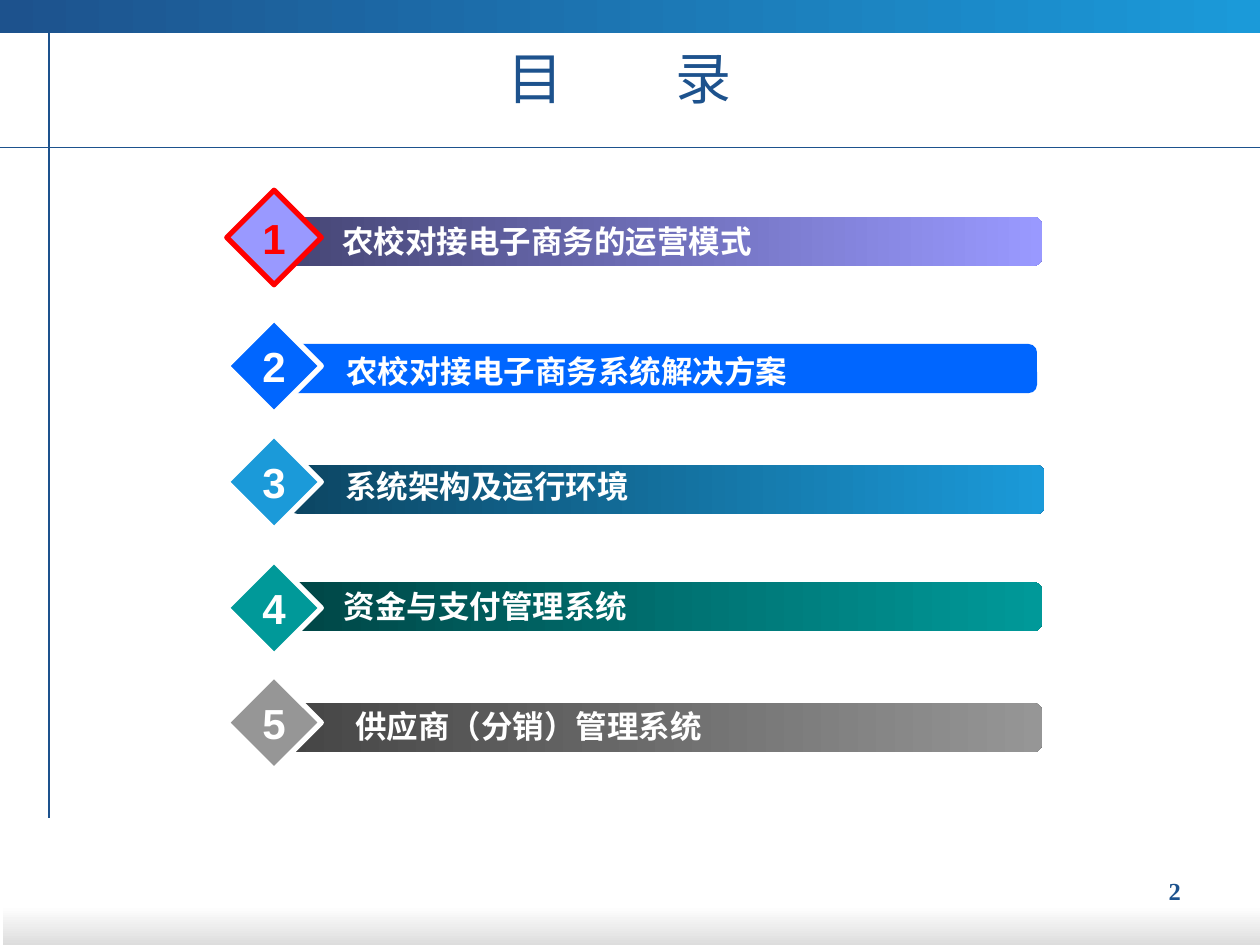
from lxml import etree
from pptx import Presentation
from pptx import util as u
from pptx.dml.color import RGBColor
from pptx.enum import shapes, text
from pptx.oxml.ns import qn

CELL = 0.1
COLUMNS, ROWS = 100, 75
NAVY, SKY, WHITE, RED = "1D528D", "1B9AD9", "FFFFFF", "FF0000"
DIAMOND_LEFT, DIAMOND_SIZE = 18, 7.5
BAR_WIDTH, BAR_HEIGHT = 59.9, 3.9
LABEL_WIDTH, LABEL_HEIGHT = 64, 5.1

ITEMS = [
    {"title": "农校对接电子商务的运营模式", "colors": ("464675", "9999FF"), "accent": RED,
     "diamond": 15.1, "bar": (22.8, 17.2), "label": (26.2, 16.6)},
    {"title": "农校对接电子商务系统解决方案", "colors": ("0066FF",), "accent": WHITE,
     "diamond": 25.3, "bar": (22.4, 27.3), "label": (26.5, 26.9)},
    {"title": "系统架构及运行环境", "colors": ("0C4663", SKY), "accent": WHITE,
     "diamond": 34.5, "bar": (23, 36.9), "label": (26.4, 36)},
    {"title": "资金与支付管理系统", "colors": ("004646", "009999"), "accent": WHITE,
     "diamond": 44.5, "bar": (22.8, 46.2), "label": (26.3, 45.5)},
    {"title": "供应商（分销）管理系统", "colors": ("454545", "969696"), "accent": WHITE,
     "diamond": 53.6, "bar": (22.8, 55.8), "label": (27.2, 55.1)},
]


def grid(*cells):
    return [u.Inches(cell * CELL) for cell in cells]


def paint(color_format, value):
    color_format.rgb = RGBColor.from_string(value)


def fill_shape(shape, colors, angle=0):
    if len(colors) == 1:
        shape.fill.solid()
        paint(shape.fill.fore_color, colors[0])
        return
    shape.fill.gradient()
    shape.fill.gradient_angle = angle
    for stop, position, color in zip(shape.fill.gradient_stops, (0, 1), colors):
        stop.position = position
        paint(stop.color, color)


def add_block(slide, kind, box, colors, angle=0):
    shape = slide.shapes.add_shape(kind, *grid(*box))
    shape.shadow.inherit = False
    fill_shape(shape, colors, angle)
    shape.line.fill.background()
    return shape


def write(shape, words, color, align, anchor, wrap=True, **font):
    frame = shape.text_frame
    frame.word_wrap = wrap
    frame.vertical_anchor = anchor
    paragraph = frame.paragraphs[0]
    paragraph.text = words
    paragraph.alignment = align
    for name, value in font.items():
        setattr(paragraph.font, name, value)
    paint(paragraph.font.color, color)


def add_label(slide, box, words, color, align, anchor=text.MSO_ANCHOR.MIDDLE, **font):
    write(slide.shapes.add_textbox(*grid(*box)), words, color, align, anchor, **font)


def add_rule(slide, ends):
    line = slide.shapes.add_connector(shapes.MSO_CONNECTOR.STRAIGHT, *grid(*ends))
    line.line.width = u.Pt(0.75)
    paint(line.line.color, NAVY)
    etree.SubElement(line._element.spPr, qn("a:effectLst"))


def add_frame(slide):
    rectangle = shapes.MSO_SHAPE.RECTANGLE
    add_block(slide, rectangle, (0.2, 71.9, COLUMNS - 0.2, 3.1), (WHITE, "DDDDDD"), 270)
    add_block(slide, rectangle, (0, 0, COLUMNS, 2.6), (NAVY, SKY))
    add_rule(slide, (0, 11.7, COLUMNS, 11.7))
    add_rule(slide, (3.9, 2.4, 3.9, 64.9))
    add_label(slide, (4.3, 2.8, 89.8, 6.7), "目\u3000\u3000录".replace("\u3000", "　"), NAVY,
              text.PP_ALIGN.CENTER, size=u.Pt(32), name="DejaVu Sans")
    add_label(slide, (86.2, 69, 8.5, 3.4), "2", NAVY, text.PP_ALIGN.RIGHT,
              text.MSO_ANCHOR.TOP, size=u.Pt(14), name="Times New Roman", bold=True)


def add_item(slide, number, item):
    bar = add_block(slide, shapes.MSO_SHAPE.ROUNDED_RECTANGLE,
                    (*item["bar"], BAR_WIDTH, BAR_HEIGHT), item["colors"])
    bar.adjustments[0] = 0.17
    add_label(slide, (*item["label"], LABEL_WIDTH, LABEL_HEIGHT), item["title"], WHITE,
              text.PP_ALIGN.LEFT, size=u.Pt(18), name="Times New Roman", bold=True)
    diamond = add_block(slide, shapes.MSO_SHAPE.DIAMOND,
                        (DIAMOND_LEFT, item["diamond"], DIAMOND_SIZE, DIAMOND_SIZE),
                        item["colors"][-1:])
    diamond.line.width = u.Pt(3)
    paint(diamond.line.color, item["accent"])
    write(diamond, str(number), item["accent"], text.PP_ALIGN.CENTER,
          text.MSO_ANCHOR.MIDDLE, wrap=False, size=u.Pt(24), name="Arial", bold=True)


def main():
    presentation = Presentation()
    presentation.slide_width, presentation.slide_height = grid(COLUMNS, ROWS)
    slide = presentation.slides.add_slide(presentation.slide_layouts[6])
    add_frame(slide)
    for number, item in enumerate(ITEMS, 1):
        add_item(slide, number, item)
    presentation.save("out.pptx")


if __name__ == "__main__":
    main()
